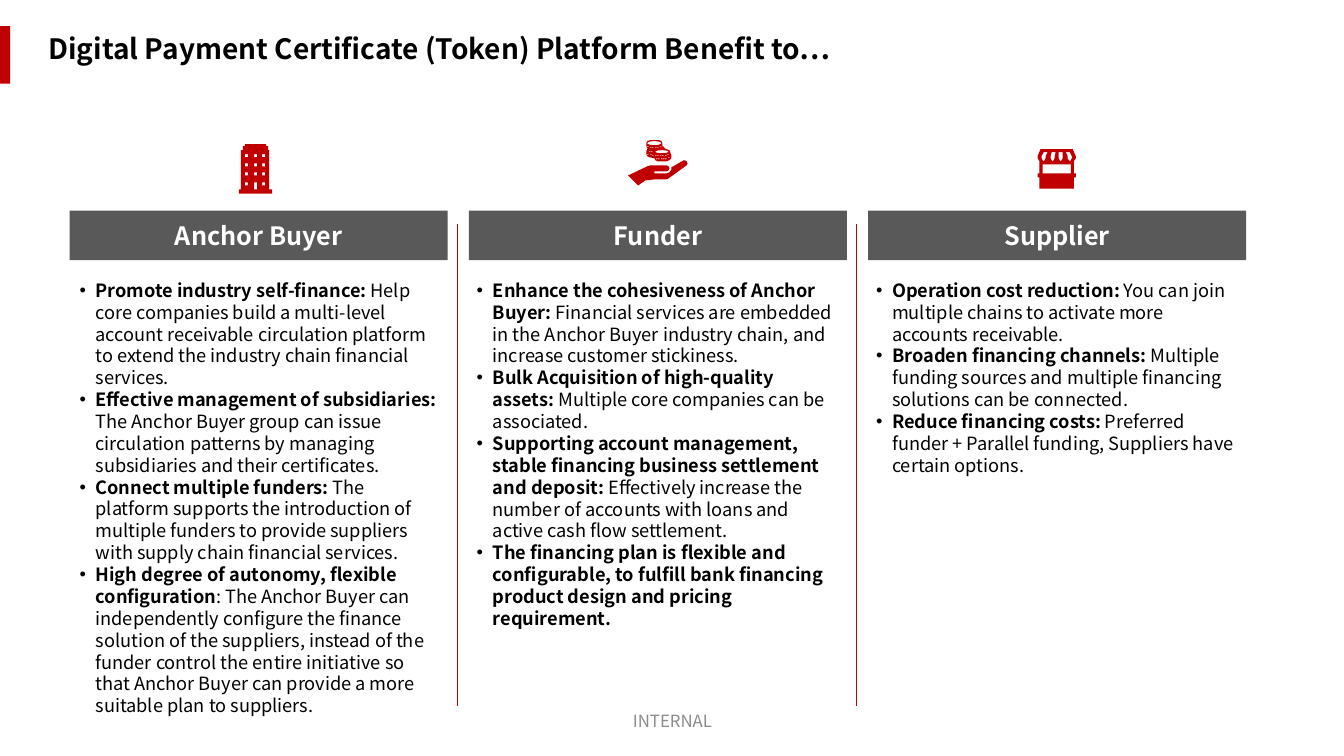
import math

from lxml import etree
from pptx import Presentation
from pptx import util as u
from pptx.dml.color import RGBColor
from pptx.enum import shapes, text
from pptx.oxml.ns import qn

EMU_PER_PX = 9144  # 100 px to the inch
RED, GREY, BLACK, WHITE, PALE = "C00000", "595959", "000000", "FFFFFF", "8C8C8C"


def px(length):
    return u.Emu(round(length * EMU_PER_PX))


def color(hex_value):
    return RGBColor.from_string(hex_value)


def box(left, top, width, height):
    right, bottom = left + width, top + height
    return [(left, top), (right, top), (right, bottom), (left, bottom)]


def ellipse(left, top, width, height, steps=24):
    angles = [2 * math.pi * step / steps for step in range(steps)]
    return [(left + width / 2 * (1 + math.cos(a)), top + height / 2 * (1 + math.sin(a)))
            for a in angles]


class Deck:
    FONT = "Noto Sans CJK SC"

    def __init__(self, width, height):
        self.file = Presentation()
        self.file.slide_width, self.file.slide_height = px(width), px(height)
        self.slide = self.file.slides.add_slide(self.file.slide_layouts[6])

    def paint(self, shape, fill):
        shape.shadow.inherit = False
        shape.fill.solid()
        shape.fill.fore_color.rgb = color(fill)
        shape.line.fill.background()

    def add_words(self, paragraph, words, ink, **font_format):
        run = paragraph.add_run()
        run.text = words
        for name, value in {"name": self.FONT, **font_format}.items():
            setattr(run.font, name, value)
        run.font.color.rgb = color(ink)

    def bar(self, place, fill):
        bar = self.slide.shapes.add_shape(shapes.MSO_SHAPE.RECTANGLE, *map(px, place))
        self.paint(bar, fill)
        return bar.text_frame

    def frame(self, place, **frame_format):
        frame = self.slide.shapes.add_textbox(*map(px, place)).text_frame
        for name, value in {"word_wrap": True, **frame_format}.items():
            setattr(frame, name, value)
        return frame

    def label(self, frame, words, ink, size, bold=False, align=None):
        paragraph = frame.paragraphs[0]
        paragraph.alignment = align
        self.add_words(paragraph, words, ink, size=u.Pt(size), bold=bold)

    def bullets(self, place, benefits):
        frame = self.frame(place, auto_size=text.MSO_AUTO_SIZE.SHAPE_TO_FIT_TEXT)
        for index, (lead, detail) in enumerate(benefits):
            paragraph = frame.add_paragraph() if index else frame.paragraphs[0]
            props = paragraph._p.get_or_add_pPr()
            props.set("marL", str(px(16)))
            props.set("indent", str(px(-16)))
            etree.SubElement(props, qn("a:buFont")).set("typeface", "Arial")
            etree.SubElement(props, qn("a:buChar")).set("char", "•")
            for words, bold in ((lead, True), (detail, False)):
                if words:
                    self.add_words(paragraph, words, BLACK, size=u.Pt(13), bold=bold)

    def divider(self, x, top, bottom):
        line = self.slide.shapes.add_connector(
            shapes.MSO_CONNECTOR.STRAIGHT, px(x), px(top), px(x), px(bottom))
        line.line.color.rgb = color(RED)
        line.line.width = u.Pt(0.5)
        etree.SubElement(line._element.spPr, qn("a:effectLst"))

    def icon(self, outline, holes=()):
        first, *others = [[(px(x), px(y)) for x, y in points]
                          for points in (outline, *holes)]
        builder = self.slide.shapes.build_freeform(*first[0])
        builder.add_line_segments(first[1:])
        for hole in others:
            builder.move_to(*hole[0])
            builder.add_line_segments(hole[1:])
        self.paint(builder.convert_to_shape(), RED)


def draw_building(deck):
    outline = [(237, 192), (237, 188), (239, 188), (239, 149), (241, 149), (241, 145),
               (243, 145), (243, 143), (264, 143), (264, 145), (266, 145), (266, 149),
               (267, 149), (267, 188), (270, 188), (270, 192)]
    columns, rows = (243, 252, 260), (153, 162, 171, 181)
    door = (columns[1], rows[-1])
    windows = [box(x, y, 3, 7 if (x, y) == door else 3) for x in columns for y in rows]
    deck.icon(outline, windows)


def draw_coins_in_hand(deck):
    coins = [(665, 152), (665, 151), (664, 149), (661, 148), (659, 147), (659, 146),
             (657, 145), (657, 142), (656, 140), (654, 139), (645, 139), (642, 140),
             (641, 142), (641, 145), (642, 147), (642, 148), (641, 150), (641, 153),
             (642, 155), (644, 156), (649, 157), (650, 159), (652, 160), (661, 160),
             (664, 159), (666, 157), (666, 154)]
    ridges = {145: (642, 655), 146: (645, 647, 650, 652), 150: (644, 646),
              153: (642, 645, 662), 154: (647, 650, 652, 655, 657, 660),
              156: (663,), 157: (651, 653, 656, 658, 660)}
    slots = [box(x, y, 1, 1) for y, starts in ridges.items() for x in starts]
    deck.icon(coins, [ellipse(642, 140, 14, 4), ellipse(650, 149, 13, 3), *slots])
    hand = [(682, 162), (681, 160), (679, 159), (678, 159), (666, 166), (666, 168),
            (664, 171), (661, 172), (649, 172), (649, 170), (661, 170), (663, 169),
            (664, 167), (663, 165), (661, 164), (645, 164), (642, 165), (623, 174),
            (633, 184), (640, 179), (649, 178), (661, 178), (663, 177), (681, 164)]
    deck.icon(hand)


def draw_shop(deck):
    outline = [(1029, 157), (1029, 155), (1032, 148), (1064, 148), (1067, 155),
               (1067, 157), (1065, 160), (1065, 172), (1067, 172), (1067, 176),
               (1065, 176), (1065, 187), (1031, 187), (1031, 176), (1029, 176),
               (1029, 172), (1031, 172), (1031, 160)]
    awning = []
    for top_left, low_left in ((1035, 1033), (1043, 1042), (1050, 1050), (1057, 1059)):
        awning.append([(top_left, 151), (top_left + 4, 151), (low_left + 4, 155),
                       (low_left + 4, 157), (low_left + 3, 159), (low_left + 2, 160),
                       (low_left + 1, 159), (low_left, 157), (low_left, 155)])
    deck.icon(outline, [*awning, box(1034, 163, 28, 9)])


COLUMNS = [
    ("Anchor Buyer", draw_building, 69, 426, [
        ("Promote industry self-finance: ",
         "Help core companies build a multi-level account receivable circulation platform "
         "to extend the industry chain financial services."),
        ("Effective management of subsidiaries: ",
         "The Anchor Buyer group can issue circulation patterns by managing subsidiaries "
         "and their certificates."),
        ("Connect multiple funders: ",
         "The platform supports the introduction of multiple funders to provide suppliers "
         "with supply chain financial services."),
        ("High degree of autonomy, flexible configuration",
         ": The Anchor Buyer can independently configure the finance solution of the "
         "suppliers, instead of the funder control the entire initiative so that Anchor "
         "Buyer can provide a more suitable plan to suppliers.")]),
    ("Funder", draw_coins_in_hand, 463, 338, [
        ("Enhance the cohesiveness of Anchor Buyer: ",
         "Financial services are embedded in the Anchor Buyer industry chain, and "
         "increase customer stickiness."),
        ("Bulk Acquisition of high-quality assets: ",
         "Multiple core companies can be associated."),
        ("Supporting account management, stable financing business settlement and deposit: ",
         "Effectively increase the number of accounts with loans and active cash flow "
         "settlement."),
        ("The financing plan is flexible and configurable, to fulfill bank financing "
         "product design and pricing requirement.", "")]),
    ("Supplier", draw_shop, 859, 207, [
        ("Operation cost reduction: ",
         "You can join multiple chains to activate more accounts receivable."),
        ("Broaden financing channels: ",
         "Multiple funding sources and multiple financing solutions can be connected."),
        ("Reduce financing costs: ",
         "Preferred funder + Parallel funding, Suppliers have certain options.")]),
]


def main():
    deck = Deck(1333, 750)
    center, middle = text.PP_ALIGN.CENTER, text.MSO_ANCHOR.MIDDLE

    # Title with its red marker
    title = deck.frame((38, 26, 932, 44), auto_size=text.MSO_AUTO_SIZE.SHAPE_TO_FIT_TEXT)
    deck.label(title, "Digital Payment Certificate (Token) Platform Benefit to…", BLACK, 20, True)
    deck.bar((0, 26, 10, 57), RED)

    # One column per party: icon, heading, benefits
    for index, (party, draw_icon, text_left, text_height, benefits) in enumerate(COLUMNS):
        draw_icon(deck)
        heading = deck.bar((69 + 396 * index, 209, 375, 49), GREY)
        heading.vertical_anchor = middle
        deck.label(heading, party, WHITE, 18, True, center)
        deck.bullets((text_left, 272, 375, text_height), benefits)

    # Dividers between the columns
    for x in (454, 849):
        deck.divider(x, 222, 700)

    # Footer
    footer = deck.frame((442, 695, 450, 40), vertical_anchor=middle)
    deck.label(footer, "INTERNAL", PALE, 12, align=center)
    deck.file.save("out.pptx")


if __name__ == "__main__":
    main()
